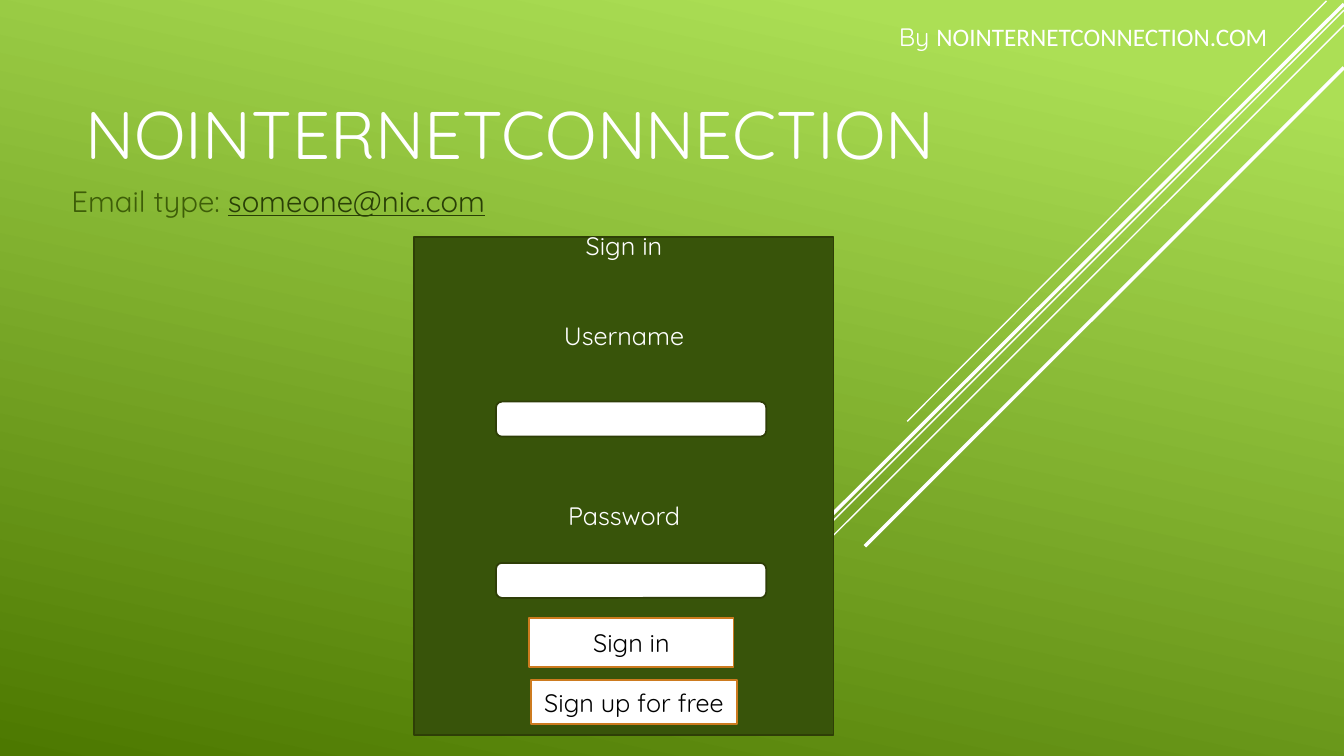
"""Builds the sign-in page slide with its green gradient and diagonal lines."""
import pptx
import pptx.util
import pptx.dml.color
import pptx.enum.shapes
import pptx.enum.text
import pptx.oxml.ns
import lxml.etree
from dataclasses import dataclass

Pt = pptx.util.Pt
RGB = pptx.dml.color.RGBColor.from_string
SHAPE = pptx.enum.shapes.MSO_SHAPE
ANCHOR = pptx.enum.text.MSO_ANCHOR
ALIGN = pptx.enum.text.PP_ALIGN


@dataclass(frozen=True)
class Theme:
    font: str = "Quicksand"
    site_font: str = "Calibri"
    title_size: float = 48
    email_size: float = 21
    body_size: float = 18
    light: str = "ACDF55"
    dark: str = "4C7800"
    white: str = "FFFFFF"
    black: str = "000000"
    email: str = "3E5E08"
    address: str = "293F06"
    panel: str = "38540A"
    panel_edge: str = "2E3E07"
    button_edge: str = "CD7B1F"


theme = Theme()


def style(paragraph, size, color):
    for run in paragraph.runs:
        run.font.name = theme.font
        run.font.size = Pt(size)
        run.font.color.rgb = RGB(color)


def add_box(kind, box, fill, edge):
    shape = slide.shapes.add_shape(kind, *map(Pt, box))
    shape.shadow.inherit = False
    shape.fill.solid()
    shape.fill.fore_color.rgb = RGB(fill)
    shape.line.color.rgb = RGB(edge)
    shape.line.width = Pt(1.25)
    shape.text_frame.vertical_anchor = ANCHOR.MIDDLE
    return shape


deck = pptx.Presentation()
deck.slide_width, deck.slide_height = Pt(960), Pt(540)
slide = deck.slides.add_slide(deck.slide_layouts[6])

backdrop = slide.background.fill
backdrop.gradient()
backdrop.gradient_angle = 258
for stop, position, color in zip(backdrop.gradient_stops, (0.1, 1), (theme.light, theme.dark)):
    stop.position = position
    stop.color.rgb = RGB(color)

diagonals = [
    (947.5, 0.7, 648, 301, 1),
    (960, 7.2, 481, 486, 1),
    (960, 18, 569.5, 408.2, 1),
    (960, 2.9, 577.4, 384.5, 2.5),
    (960, 48.2, 617.8, 390.2, 2.5),
]
for *ends, width in diagonals:
    diagonal = slide.shapes.add_connector(
        pptx.enum.shapes.MSO_CONNECTOR.STRAIGHT, *map(Pt, ends))
    diagonal.line.color.rgb = RGB(theme.white)
    diagonal.line.width = Pt(width)
    lxml.etree.SubElement(diagonal._element.spPr, pptx.oxml.ns.qn("a:effectLst"))

headings = [
    ((54, 54, 630, 73.4), ["NOINTERNETCONNECTION"], theme.title_size, theme.white, ANCHOR.BOTTOM),
    ((44, 127.4, 504, 35.3), ["Email type: ", "someone@nic.com"],
     theme.email_size, theme.email, ANCHOR.TOP),
    ((635, 11.5, 311.8, 28.8), ["By ", "NOINTERNETCONNECTION.COM"],
     theme.body_size, theme.white, ANCHOR.TOP),
]
heading_lines = []
for box, parts, size, color, anchor in headings:
    frame = slide.shapes.add_textbox(*map(Pt, box)).text_frame
    frame.word_wrap = True
    frame.vertical_anchor = anchor
    line = frame.paragraphs[0]
    for part in parts:
        line.add_run().text = part
    style(line, size, color)
    heading_lines.append(line)

title, email, byline = heading_lines
email.runs[1].font.underline = True
email.runs[1].font.color.rgb = RGB(theme.address)
byline.runs[1].font.name = theme.site_font

panel = add_box(SHAPE.RECTANGLE, (296, 169.2, 299.5, 355.7), theme.panel, theme.panel_edge)
labels = panel.text_frame
labels.margin_top, labels.margin_bottom = 0, Pt(150.4)
labels.text = "Sign in\nUsername\nPassword"
for label, gap in zip(labels.paragraphs, (0, 42.5, 106.8)):
    label.alignment = ALIGN.CENTER
    label.space_before = Pt(gap)
    style(label, theme.body_size, theme.white)

for field_top in (286.9, 402.1):
    add_box(SHAPE.ROUNDED_RECTANGLE, (354.3, field_top, 193, 25), theme.white, theme.panel_edge)

buttons = [
    ("Sign in", (378, 441.2, 146, 35.3)),
    ("Sign up for free", (379.4, 486, 147, 31.4)),
]
for caption, box in buttons:
    button = add_box(SHAPE.RECTANGLE, box, theme.white, theme.button_edge)
    button.text_frame.text = caption
    button.text_frame.paragraphs[0].alignment = ALIGN.CENTER
    style(button.text_frame.paragraphs[0], theme.body_size, theme.black)

deck.save("out.pptx")
